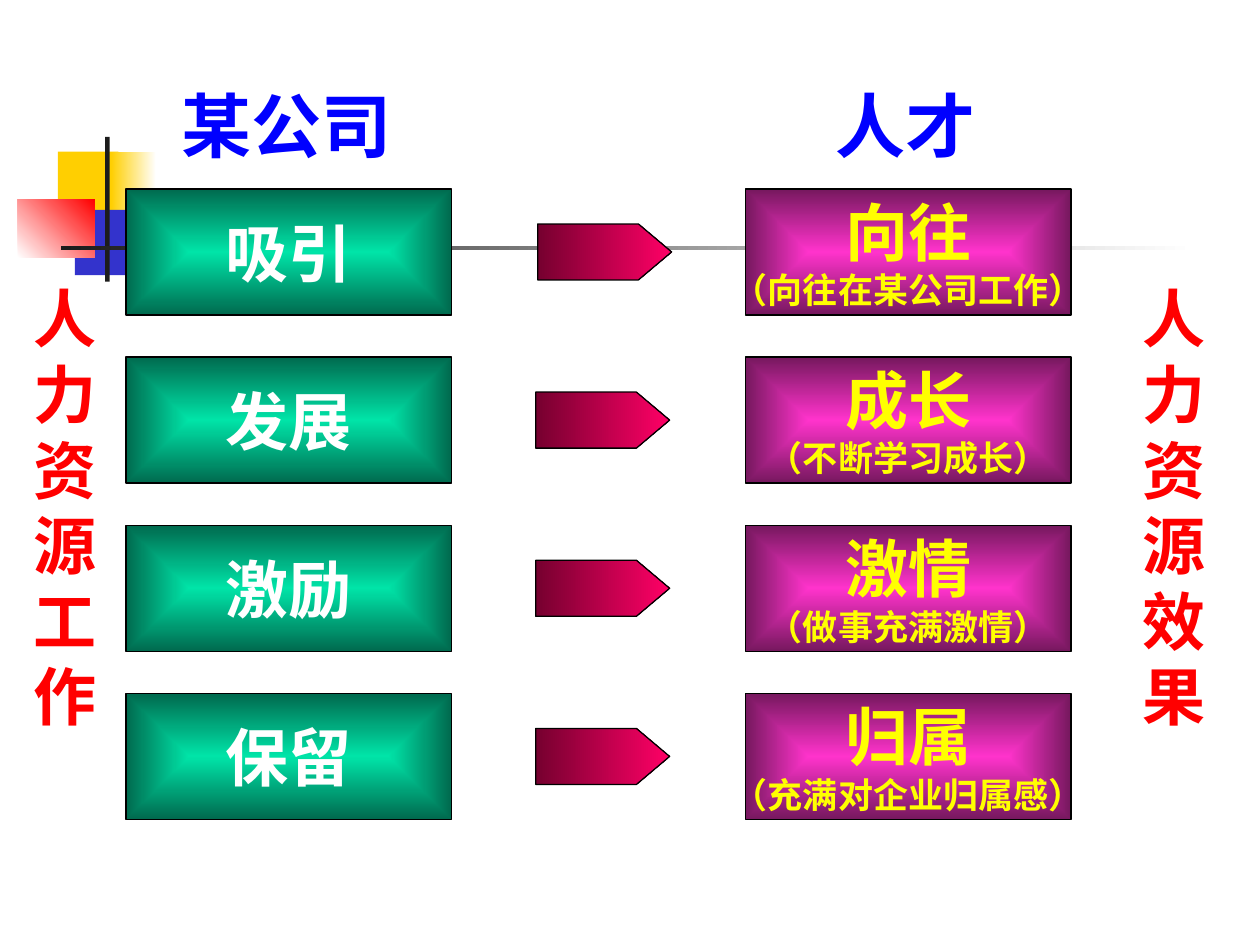
from lxml import etree
from pptx import Presentation
from pptx.dml.color import RGBColor
from pptx.enum.shapes import MSO_SHAPE as Geo
from pptx.enum.text import MSO_ANCHOR as Anchor, MSO_AUTO_SIZE as Fit, PP_ALIGN as Align
from pptx.oxml.ns import qn
from pptx.util import Cm, Pt

FONT = "Times New Roman"
TOP, PITCH = 3.81, 3.39
BOX_W, BOX_H = 6.56, 2.54
HEAD_H = 1.13

ROWS = [
    ("吸引", "向往", "（向往在某公司工作）"),
    ("发展", "成长", "（不断学习成长）"),
    ("激励", "激情", "（做事充满激情）"),
    ("保留", "归属", "（充满对企业归属感）"),
]

# Left, top, width, height, colours, gradient angle
DECOR = [
    (1.17, 3.06, 1.22, 1.32, ["FFCF01"], 0),
    (2.24, 3.06, 0.91, 1.32, ["FFCF01", "FFFFFF"], 0),
    (1.51, 4.23, 1.17, 1.32, ["3333CC"], 0),
    (2.54, 4.23, 1.02, 1.32, ["3333CC", "FFFFFF"], 0),
    (0.36, 4.02, 1.55, 1.17, ["FFFFFF", "FF0000"], 45),
    (2.12, 2.76, 0.09, 2.92, ["1C1C1C"], 0),
    (1.23, 4.95, 22.86, 0.09, ["1C1C1C", "FFFFFF"], 0),
]


def rgb(code):
    return RGBColor.from_string(code)


def paint(shape, cols, angle=0, line=None):
    """Fill with one colour or a two-colour gradient, and set the outline."""
    shape.shadow.inherit = False
    fill = shape.fill
    if len(cols) == 1:
        fill.solid()
        fill.fore_color.rgb = rgb(cols[0])
    else:
        fill.gradient()
        fill.gradient_angle = angle
        for stop, col, pos in zip(fill.gradient_stops, cols, (0, 1)):
            stop.color.rgb = rgb(col)
            stop.position = pos
    if line:
        shape.line.color.rgb = rgb(line)
        shape.line.width = Pt(0.75)
    else:
        shape.line.fill.background()


def center(shape):
    """Turn the linear gradient into one that spreads from the middle."""
    lin = shape._element.spPr.find(".//" + qn("a:lin"))
    way = etree.Element(qn("a:path"), path="rect")
    half = dict.fromkeys("ltrb", "50000")
    etree.SubElement(way, qn("a:fillToRect"), half)
    lin.getparent().replace(lin, way)


def write(frame, lines, col):
    """Write (text, size) lines, centred and bold."""
    frame.word_wrap = False
    for i, (text, size) in enumerate(lines):
        para = frame.add_paragraph() if i else frame.paragraphs[0]
        para.text = text
        para.alignment = Align.CENTER
        font = para.font
        font.name, font.size, font.bold = FONT, Pt(size), True
        font.color.rgb = rgb(col)


def rect(slide, x, y, w, h, cols, angle=0, line=None):
    shape = slide.shapes.add_shape(Geo.RECTANGLE, Cm(x), Cm(y), Cm(w), Cm(h))
    paint(shape, cols, angle, line)
    return shape


def card(slide, x, y, cols, lines, ink):
    shape = rect(slide, x, y, BOX_W, BOX_H, cols, line="000000")
    center(shape)
    shape.text_frame.vertical_anchor = Anchor.MIDDLE
    write(shape.text_frame, lines, ink)


def arrow(slide, x, y):
    pts = [(2.03, 0), (2.7, HEAD_H / 2), (2.03, HEAD_H), (0, HEAD_H)]
    pen = slide.shapes.build_freeform(Cm(x), Cm(y))
    pen.add_line_segments([(Cm(x + dx), Cm(y + dy)) for dx, dy in pts])
    paint(pen.convert_to_shape(), ["76002F", "FF0066"], line="000000")


def label(slide, x, y, w, h, lines, ink):
    box = slide.shapes.add_textbox(Cm(x), Cm(y), Cm(w), Cm(h))
    box.text_frame.auto_size = Fit.SHAPE_TO_FIT_TEXT
    write(box.text_frame, lines, ink)


def main():
    deck = Presentation()
    deck.slide_width, deck.slide_height = Cm(25.4), Cm(19.05)
    slide = deck.slides.add_slide(deck.slide_layouts[6])

    # Coloured squares and crossed bars
    for x, y, w, h, cols, angle in DECOR:
        rect(slide, x, y, w, h, cols, angle)

    # Rows: company action, arrow, effect on talent
    for i, (act, goal, note) in enumerate(ROWS):
        y = TOP + i * PITCH
        card(slide, 2.54, y, ["00E4A8", "006A4E"], [(act, 36)], "FFFFFF")
        card(slide, 15.03, y, ["FF33CC", "76185E"],
             [(goal, 36), (note, 20)], "FFFF00")
        arrow(slide, 10.8 if i else 10.84, y + (BOX_H - HEAD_H) / 2)

    # Vertical side titles
    for x, text in ((0.42, "人力资源工作"), (22.77, "人力资源效果")):
        label(slide, x, 5.52, 1.8, 9.4, [(c, 36) for c in text], "FF0000")

    # Column headings, wide enough to stay on one line
    label(slide, 3.35, 1.54, 4.84, 1.96, [("某公司", 40)], "0000FF")
    label(slide, 16.54, 1.54, 3.43, 1.96, [("人才", 40)], "0000FF")

    deck.save("out.pptx")


if __name__ == "__main__":
    main()
